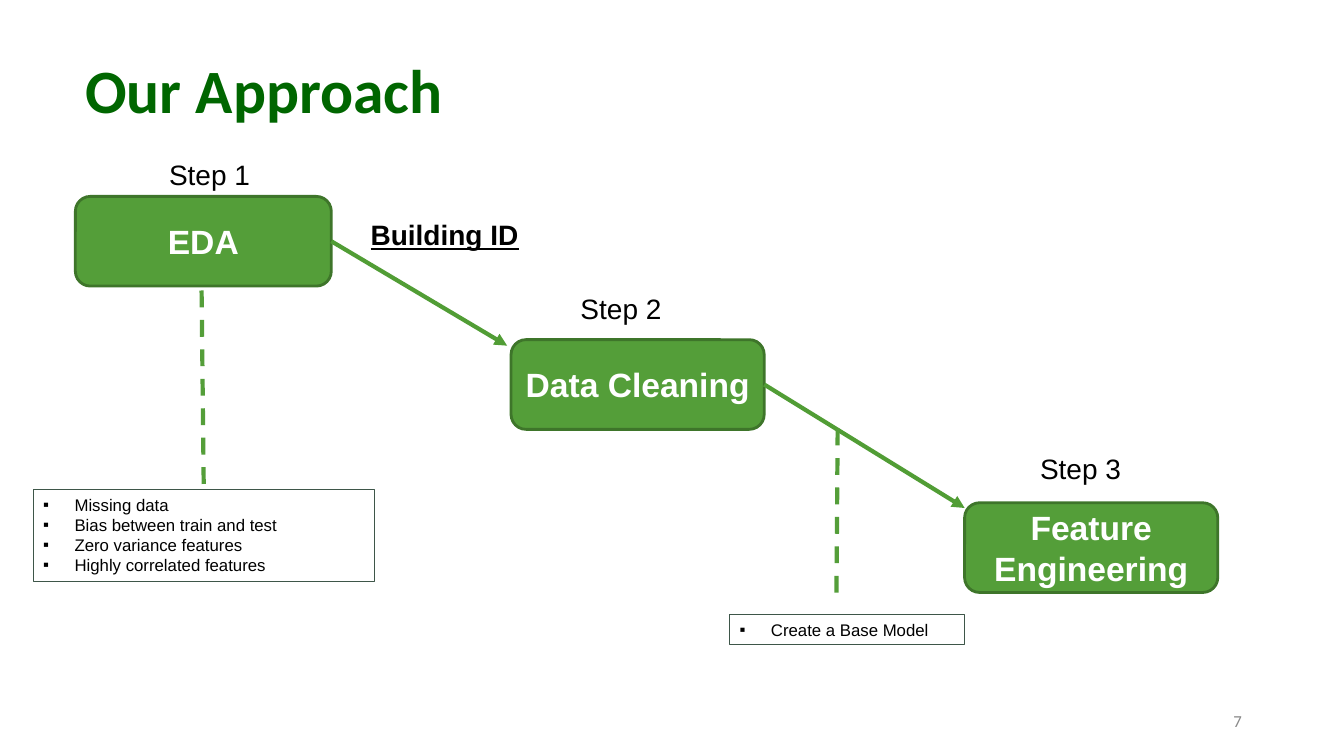
from lxml.etree import SubElement
from pptx import Presentation
from pptx.dml.color import RGBColor
from pptx.enum.dml import MSO_LINE
from pptx.enum.shapes import MSO_CONNECTOR, MSO_SHAPE
from pptx.enum.text import MSO_ANCHOR, PP_ALIGN
from pptx.oxml.ns import qn
from pptx.util import Cm, Pt

# Content: lengths in centimetres
TITLE = ("Our Approach", (1.9, 0.53, 26.75, 3.68))
PAGE_NUMBER = ("7", (23.93, 17.65, 7.62, 1.02))
ARROW_LABEL = ("Building ID", (9.09, 5.36, 4.9, 1.12))

# Step name, label position, box text, box left, top and width
STEPS = [
    ("Step 1", (4.01, 3.84), "EDA", (1.9, 4.95, 6.45)),
    ("Step 2", (14.38, 7.21), "Data Cleaning", (12.88, 8.56, 6.38)),
    ("Step 3", (25.96, 11.25), "Feature Engineering", (24.31, 12.67, 6.38)),
]
ARROW_TIPS = [(12.78, 8.71), (24.31, 12.8)]
NOTES = [
    (["Missing data", "Bias between train and test",
      "Zero variance features", "Highly correlated features"],
     (0.84, 12.34, 8.59, 2.31)),
    (["Create a Base Model"], (18.39, 15.49, 5.92, 0.76)),
]
DASHES = [((5.08, 7.32), (5.13, 12.34)), ((21.11, 10.8), (21.08, 15.01))]

STEP_HEIGHT = 2.26
LABEL_SIZE = (3.56, 1.12)
BULLET_INDENT = 0.79
GREEN, ARROW_GREEN, EDGE_GREEN = "549E39", "519D35", "3E752A"
NOTE_EDGE, BLACK, WHITE = "3E5649", "000000", "FFFFFF"

deck = Presentation()
deck.slide_width, deck.slide_height = Cm(33.87), Cm(19.05)
page = deck.slides.add_slide(deck.slide_layouts[6])


def color(value):
    return RGBColor.from_string(value)


def write(para, text, size, tint=BLACK, font="Arial", bold=False, underline=False):
    span = para.add_run()
    span.text = text
    span.font.name, span.font.size = font, Pt(size)
    span.font.bold, span.font.underline = bold, underline
    span.font.color.rgb = color(tint)


def add_text(text, area, size, anchor=MSO_ANCHOR.TOP, align=PP_ALIGN.LEFT, **style):
    box = page.shapes.add_textbox(*map(Cm, area))
    box.text_frame.word_wrap = True
    box.text_frame.vertical_anchor = anchor
    para = box.text_frame.paragraphs[0]
    para.alignment = align
    write(para, text, size, **style)
    return para


def add_box(kind, area, edge, width, fill=None):
    box = page.shapes.add_shape(kind, *map(Cm, area))
    box.shadow.inherit = False
    if fill:
        box.fill.solid()
        box.fill.fore_color.rgb = color(fill)
    else:
        box.fill.background()
    box.line.color.rgb, box.line.width = color(edge), Pt(width)
    box.text_frame.word_wrap = True
    return box


def add_line(start, end, tint):
    line = page.shapes.add_connector(MSO_CONNECTOR.STRAIGHT, *map(Cm, start + end))
    line.line.color.rgb, line.line.width = color(tint), Pt(3)
    SubElement(line._element.spPr, qn("a:effectLst"))
    return line


def add_bullet(para):
    properties = para._p.get_or_add_pPr()
    properties.set("marL", str(Cm(BULLET_INDENT)))
    properties.set("indent", str(-Cm(BULLET_INDENT)))
    bullet_color = SubElement(properties, qn("a:buClr"))
    SubElement(bullet_color, qn("a:srgbClr"), val=BLACK)
    SubElement(properties, qn("a:buFont"), typeface="Arial")
    SubElement(properties, qn("a:buChar"), char="▪")


# Title and page number
title, area = TITLE
add_text(title, area, 44, MSO_ANCHOR.MIDDLE,
         tint="006600", font="Calibri", bold=True).line_spacing = 0.9
number, area = PAGE_NUMBER
add_text(number, area, 12, MSO_ANCHOR.MIDDLE, PP_ALIGN.RIGHT,
         tint="888888", font="Calibri")

# Steps with their labels
step_boxes = []
for label, label_at, name, place in STEPS:
    box = add_box(MSO_SHAPE.ROUNDED_RECTANGLE, place + (STEP_HEIGHT,),
                  EDGE_GREEN, 2, GREEN)
    box.text_frame.vertical_anchor = MSO_ANCHOR.MIDDLE
    para = box.text_frame.paragraphs[0]
    para.alignment = PP_ALIGN.CENTER
    write(para, name, 24, WHITE, bold=True)
    step_boxes.append(box)
    add_text(label, label_at + LABEL_SIZE, 20)

# Arrows from each step towards the next
for box, (_, _, _, (left, top, width)), tip in zip(step_boxes, STEPS, ARROW_TIPS):
    arrow = add_line((left + width, top + STEP_HEIGHT / 2), tip, ARROW_GREEN)
    arrow.begin_connect(box, 3)
    SubElement(arrow.line._get_or_add_ln(), qn("a:tailEnd"), type="triangle")
label, area = ARROW_LABEL
add_text(label, area, 20, bold=True, underline=True)

# Bulleted notes
note_boxes = []
for items, area in NOTES:
    box = add_box(MSO_SHAPE.RECTANGLE, area, NOTE_EDGE, 0.75)
    box.text_frame.vertical_anchor = MSO_ANCHOR.TOP
    for index, item in enumerate(items):
        para = box.text_frame.add_paragraph() if index else box.text_frame.paragraphs[0]
        para.alignment = PP_ALIGN.LEFT
        add_bullet(para)
        write(para, item, 12)
    note_boxes.append(box)

# Dashed lines down to the notes; the first one touches its note
dashed_lines = [add_line(start, end, GREEN) for start, end in DASHES]
for line in dashed_lines:
    line.line.dash_style = MSO_LINE.DASH
dashed_lines[0].end_connect(note_boxes[0], 0)

deck.save("out.pptx")
